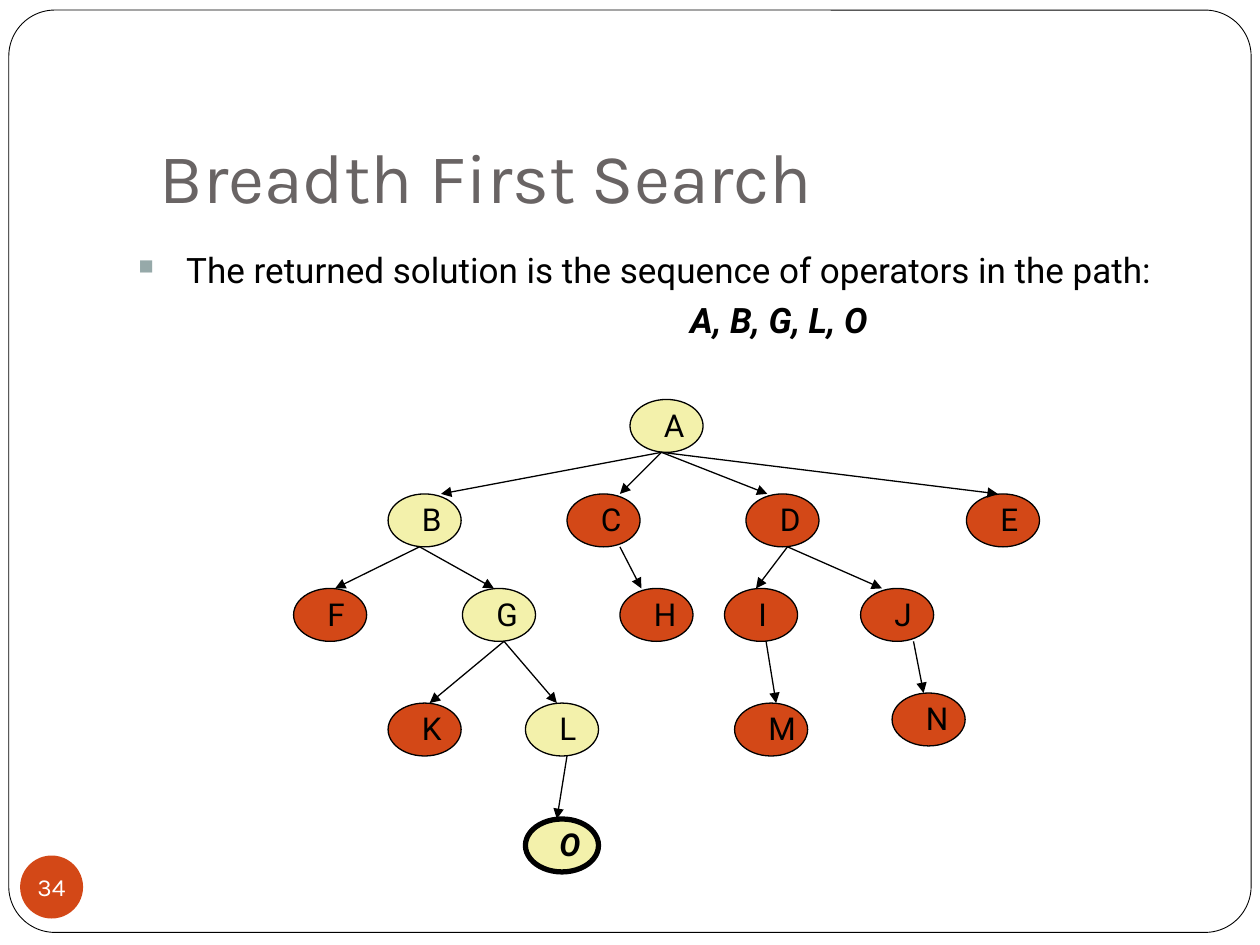
from lxml.etree import SubElement
from pptx import Presentation
from pptx.dml.color import RGBColor
from pptx.enum.shapes import MSO_CONNECTOR, MSO_SHAPE
from pptx.enum.text import MSO_ANCHOR, PP_ALIGN
from pptx.oxml.ns import qn
from pptx.util import Inches, Pt

BLACK = RGBColor(0x00, 0x00, 0x00)
WHITE = RGBColor(0xFF, 0xFF, 0xFF)
GRAY = RGBColor(0x69, 0x64, 0x64)
SAGE = RGBColor(0x96, 0xA9, 0xA9)
ORANGE = RGBColor(0xD3, 0x48, 0x17)
YELLOW = RGBColor(0xF3, 0xF1, 0xAB)

HEADING_FONT = "Karla"
BODY_FONT = "Roboto"

NODE_WIDTH, NODE_HEIGHT = 0.58, 0.42
LABEL_SHIFT = 0.17
GOAL = "O"
SOLUTION = ["A", "B", "G", "L", GOAL]

# Left and top of each tree node
NODES = {
    "A": (5, 3.17),
    "B": (3.08, 3.92), "C": (4.5, 3.92), "D": (5.92, 3.92), "E": (7.67, 3.92),
    "F": (2.33, 4.67), "G": (3.67, 4.67), "H": (4.92, 4.67),
    "I": (5.75, 4.67), "J": (6.83, 4.67),
    "K": (3.08, 5.58), "L": (4.17, 5.58), "M": (5.83, 5.58), "N": (7.08, 5.5),
    "O": (4.17, 6.5),
}

# Each parent: where its arrows leave, and where they meet each child,
# measured from the left of the node
EDGES = {
    "A": (0.25, {"B": 0.42, "C": 0.42, "D": 0.17, "E": 0.25}),
    "B": (0.25, {"F": 0.33, "G": 0.25}),
    "C": (0.42, {"H": 0.17}),
    "D": (0.33, {"I": 0.25, "J": 0.17}),
    "G": (0.33, {"K": 0.33, "L": 0.25}),
    "I": (0.33, {"M": 0.33}),
    "J": (0.42, {"N": 0.25}),
    "L": (0.33, {"O": 0.25}),
}


def add_shape(page, kind, left, top, width, height, fill, line_width=None):
    shape = page.shapes.add_shape(
        kind, Inches(left), Inches(top), Inches(width), Inches(height))
    shape.shadow.inherit = False
    shape.fill.solid()
    shape.fill.fore_color.rgb = fill
    if line_width is None:
        shape.line.fill.background()
    else:
        shape.line.color.rgb = BLACK
        shape.line.width = Pt(line_width)
    return shape


def add_box(page, left, top, width, height):
    box = page.shapes.add_textbox(
        Inches(left), Inches(top), Inches(width), Inches(height))
    box.text_frame.word_wrap = True
    return box


def write(para, text, *, size, font=BODY_FONT, color=BLACK, bold=False,
          italic=False, align=PP_ALIGN.LEFT, before=0):
    para.alignment = align
    para.space_before = Pt(before)
    span = para.add_run()
    span.text = text
    span.font.size = Pt(size)
    span.font.name = font
    span.font.color.rgb = color
    span.font.bold = bold
    span.font.italic = italic


def add_bullet(para, indent):
    props = para._p.get_or_add_pPr()
    props.set("marL", str(Inches(indent)))
    props.set("indent", str(-Inches(indent)))
    color = SubElement(props, qn("a:buClr"))
    SubElement(color, qn("a:srgbClr"), val=str(SAGE))
    SubElement(props, qn("a:buSzPct"), val="60000")
    SubElement(props, qn("a:buChar"), char="■")


def add_node(page, name, left, top):
    fill = YELLOW if name in SOLUTION else ORANGE
    is_goal = name == GOAL
    add_shape(page, MSO_SHAPE.OVAL, left, top, NODE_WIDTH, NODE_HEIGHT, fill,
              line_width=3 if is_goal else 0.75)
    label = add_box(page, left + LABEL_SHIFT, top, 0.42, 0.4)
    write(label.text_frame.paragraphs[0], name, size=18,
          bold=is_goal, italic=is_goal)


def add_arrow(page, start, end):
    arrow = page.shapes.add_connector(
        MSO_CONNECTOR.STRAIGHT, *(Inches(value) for value in start + end))
    arrow.line.color.rgb = BLACK
    arrow.line.width = Pt(0.75)
    SubElement(arrow.line._get_or_add_ln(), qn("a:tailEnd"), type="triangle")
    SubElement(arrow._element.spPr, qn("a:effectLst"))


def add_tree(page):
    for name, (left, top) in NODES.items():
        add_node(page, name, left, top)
    for parent, (exit_shift, children) in EDGES.items():
        left, top = NODES[parent]
        start = (left + exit_shift, top + NODE_HEIGHT)
        for child, entry_shift in children.items():
            child_left, child_top = NODES[child]
            add_arrow(page, start, (child_left + entry_shift, child_top))


def add_title(page):
    box = add_box(page, 1.17, 0.58, 8.5, 1.25)
    box.text_frame.vertical_anchor = MSO_ANCHOR.BOTTOM
    box.text_frame.margin_bottom = Inches(0.1)
    write(box.text_frame.paragraphs[0], "Breadth First Search", size=40,
          font=HEADING_FONT, color=GRAY)


def add_body(page):
    frame = add_box(page, 1, 1.92, 8.5, 0.92).text_frame
    para = frame.paragraphs[0]
    add_bullet(para, 0.38)
    write(para, "The returned solution is the sequence of operators in the path:",
          size=20)
    # The path is set in from the left
    para = frame.add_paragraph()
    para._p.get_or_add_pPr().set("marL", str(Inches(4.38)))
    write(para, ", ".join(SOLUTION), size=20, bold=True, italic=True, before=5)


def add_page_number(page):
    badge = add_shape(page, MSO_SHAPE.OVAL, 0.16, 6.79, 0.5, 0.5, ORANGE)
    frame = badge.text_frame
    frame.margin_left = frame.margin_right = 0
    frame.margin_top = frame.margin_bottom = 0
    frame.word_wrap = False
    frame.vertical_anchor = MSO_ANCHOR.MIDDLE
    write(frame.paragraphs[0], "34", size=14, font=HEADING_FONT, color=WHITE,
          align=PP_ALIGN.CENTER)


def main():
    deck = Presentation()
    deck.slide_width, deck.slide_height = Inches(10), Inches(7.5)
    page = deck.slides.add_slide(deck.slide_layouts[6])

    # Rounded frame around the slide
    frame = add_shape(page, MSO_SHAPE.ROUNDED_RECTANGLE,
                      0.07, 0.08, 9.86, 7.32, WHITE, line_width=0.5)
    frame.adjustments[0] = 0.05

    add_title(page)
    add_page_number(page)
    add_body(page)
    add_tree(page)
    deck.save("out.pptx")


if __name__ == "__main__":
    main()
